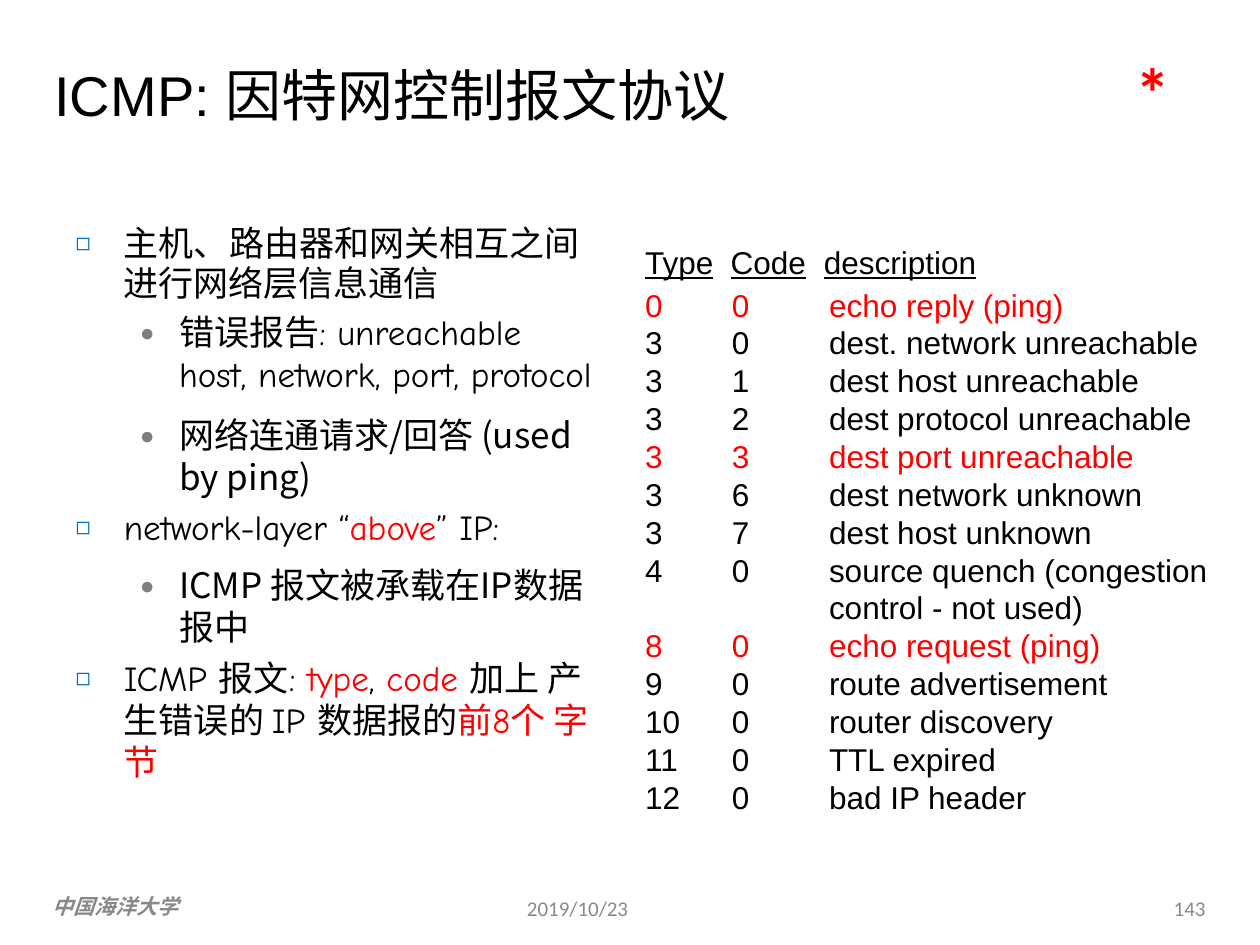
from lxml import etree
from pptx import Presentation
from pptx.dml.color import RGBColor
from pptx.enum.text import MSO_ANCHOR, PP_ALIGN
from pptx.oxml.ns import qn
from pptx.util import Pt

TOP, MIDDLE = MSO_ANCHOR.TOP, MSO_ANCHOR.MIDDLE
LEFT, RIGHT = PP_ALIGN.LEFT, PP_ALIGN.RIGHT
ARIAL, CALIBRI, COMIC, CJK = "Arial", "Calibri", "Comic Neue", "Noto Sans CJK SC"
BLACK, RED, BLUE, GRAY = "000000", "FF0000", "006FC0", "7E7E7E"
FOOTER_GRAY = "898989"

BULLETS = {
    "main": ("◻", BLUE, 28.3, -27.6),
    "sub": ("●", GRAY, 59.8, -22.3),
    "plain": (None, None, 28.1, 0),
}

BODY = [
    ("main", 0, None, [("主机、路由器和网关相互之间", CJK, BLACK)]),
    ("plain", 0, Pt(22.7), [("进行网络层信息通信", CJK, BLACK)]),
    ("sub", 5, 0.99, [("错误报告", CJK, BLACK),
                      (": unreachable host, network, port, protocol", COMIC, BLACK)]),
    ("sub", 11.3, 0.99, [("网络连通请求/回答 (used by ping)", CJK, BLACK)]),
    ("main", 4, None, [("network-layer “", COMIC, BLACK), ("above", COMIC, RED),
                       ("” IP:", COMIC, BLACK)]),
    ("sub", 10.2, 0.99, [("ICMP 报文被承载在IP数据报中", CJK, BLACK)]),
    ("main", 4.8, None, [("ICMP ", COMIC, BLACK), ("报文", CJK, BLACK),
                         (": ", COMIC, BLACK), ("type", COMIC, RED),
                         (", ", COMIC, BLACK), ("code ", COMIC, RED),
                         ("加上 产生错误的 ", CJK, BLACK), ("IP ", COMIC, BLACK),
                         ("数据报的", CJK, BLACK), ("前", CJK, RED),
                         ("8", COMIC, RED), ("个 字节", CJK, RED)]),
]

HEADER = ("Type", "Code", "description")
MESSAGES = [
    ("0", "0", "echo reply (ping)"),
    ("3", "0", "dest. network unreachable"),
    ("3", "1", "dest host unreachable"),
    ("3", "2", "dest protocol unreachable"),
    ("3", "3", "dest port unreachable"),
    ("3", "6", "dest network unknown"),
    ("3", "7", "dest host unknown"),
    ("4", "0", "source quench (congestion"),
    ("", "", "control - not used)"),
    ("8", "0", "echo request (ping)"),
    ("9", "0", "route advertisement"),
    ("10", "0", "router discovery"),
    ("11", "0", "TTL expired"),
    ("12", "0", "bad IP header"),
]
KEY_MESSAGES = {("0", "0"), ("3", "3"), ("8", "0")}
COLUMN_WIDTHS = (46, 53.4, 225.6)
HEADER_INDENTS = (2.2, 5, 5)
ROW_INDENTS = (2.2, 5.8, 7.9)


def rgb(value):
    return RGBColor.from_string(value)


def add_run(p, text, size, font, color, bold=False, italic=False, underline=False):
    r = p.add_run()
    r.text = text
    f = r.font
    f.size, f.name = Pt(size), font
    f.bold, f.italic, f.underline = bold, italic, underline
    f.color.rgb = rgb(color)
    ea = etree.SubElement(r._r.get_or_add_rPr(), qn("a:ea"))
    ea.set("typeface", CJK)


def add_box(s, left, top, width, height, inset=True, anchor=TOP):
    sp = s.shapes.add_textbox(Pt(left), Pt(top), Pt(width), Pt(height))
    tf = sp.text_frame
    tf.word_wrap = True
    tf.vertical_anchor = anchor
    if not inset:
        tf.margin_left = tf.margin_right = tf.margin_top = tf.margin_bottom = 0
    return tf


def add_label(s, box, text, size, font, color, inset=True, anchor=TOP, align=LEFT,
              **style):
    p = add_box(s, *box, inset, anchor).paragraphs[0]
    p.alignment = align
    add_run(p, text, size, font, color, **style)


def set_bullet(p, kind):
    char, color, margin, indent = BULLETS[kind]
    pPr = p._p.get_or_add_pPr()
    pPr.set("marL", str(Pt(margin)))
    pPr.set("indent", str(Pt(indent)))
    if char is None:
        etree.SubElement(pPr, qn("a:buNone"))
        return
    clr = etree.SubElement(pPr, qn("a:buClr"))
    etree.SubElement(clr, qn("a:srgbClr")).set("val", color)
    etree.SubElement(pPr, qn("a:buSzPct")).set("val", "70000")
    etree.SubElement(pPr, qn("a:buFont")).set("typeface", ARIAL)
    etree.SubElement(pPr, qn("a:buChar")).set("char", char)


def add_body(s):
    tf = add_box(s, 42.5, 126.7, 298.8, 347, inset=False)
    for i, (kind, before, spacing, runs) in enumerate(BODY):
        p = tf.add_paragraph() if i else tf.paragraphs[0]
        set_bullet(p, kind)
        p.space_before = Pt(before)
        if spacing:
            p.line_spacing = spacing
        for text, font, color in runs:
            add_run(p, text, 20, font, color)


def fill_cell(cell, text, indent, color, underline):
    cell.fill.background()
    cell.margin_left = Pt(indent)
    cell.margin_right = cell.margin_top = cell.margin_bottom = 0
    p = cell.text_frame.paragraphs[0]
    if text:
        add_run(p, text, 18, ARIAL, color, underline=underline)
    else:
        etree.SubElement(p._p, qn("a:endParaRPr")).set("sz", "1200")


def add_message_table(s):
    rows = [HEADER] + MESSAGES
    frame = s.shapes.add_table(len(rows), len(HEADER), Pt(366.5), Pt(140.4),
                               Pt(sum(COLUMN_WIDTHS)), Pt(330))
    tbl = frame.table
    tbl.first_row = tbl.horz_banding = False
    for col, width in zip(tbl.columns, COLUMN_WIDTHS):
        col.width = Pt(width)
    for i, row in enumerate(rows):
        tbl.rows[i].height = Pt(24.5 if i in (0, len(rows) - 1) else 21.65)
        color = RED if row[:2] in KEY_MESSAGES and row[2].startswith(
            ("echo", "dest port")) else BLACK
        indents = ROW_INDENTS if i else HEADER_INDENTS
        for j, text in enumerate(row):
            fill_cell(tbl.cell(i, j), text, indents[j], color, underline=i == 0)


def main():
    prs = Presentation()
    prs.slide_width, prs.slide_height = Pt(720), Pt(540)
    s = prs.slides.add_slide(prs.slide_layouts[6])
    add_label(s, (528, 504.5, 168, 29), "143", 12, CALIBRI, FOOTER_GRAY,
              anchor=MIDDLE, align=RIGHT)
    add_label(s, (294, 504.5, 168, 29), "2019/10/23", 12, CALIBRI, FOOTER_GRAY,
              anchor=MIDDLE)
    add_label(s, (30.2, 510.5, 150, 14.4), "中国海洋大学", 12, ARIAL, "888888",
              inset=False, bold=True, italic=True)
    add_body(s)
    add_message_table(s)
    add_label(s, (24, 31, 660, 90), "ICMP: 因特网控制报文协议", 32, ARIAL, BLACK)
    add_label(s, (642, 24, 36, 55.5), "*", 40, CALIBRI, RED, bold=True)
    prs.save("out.pptx")


if __name__ == "__main__":
    main()
